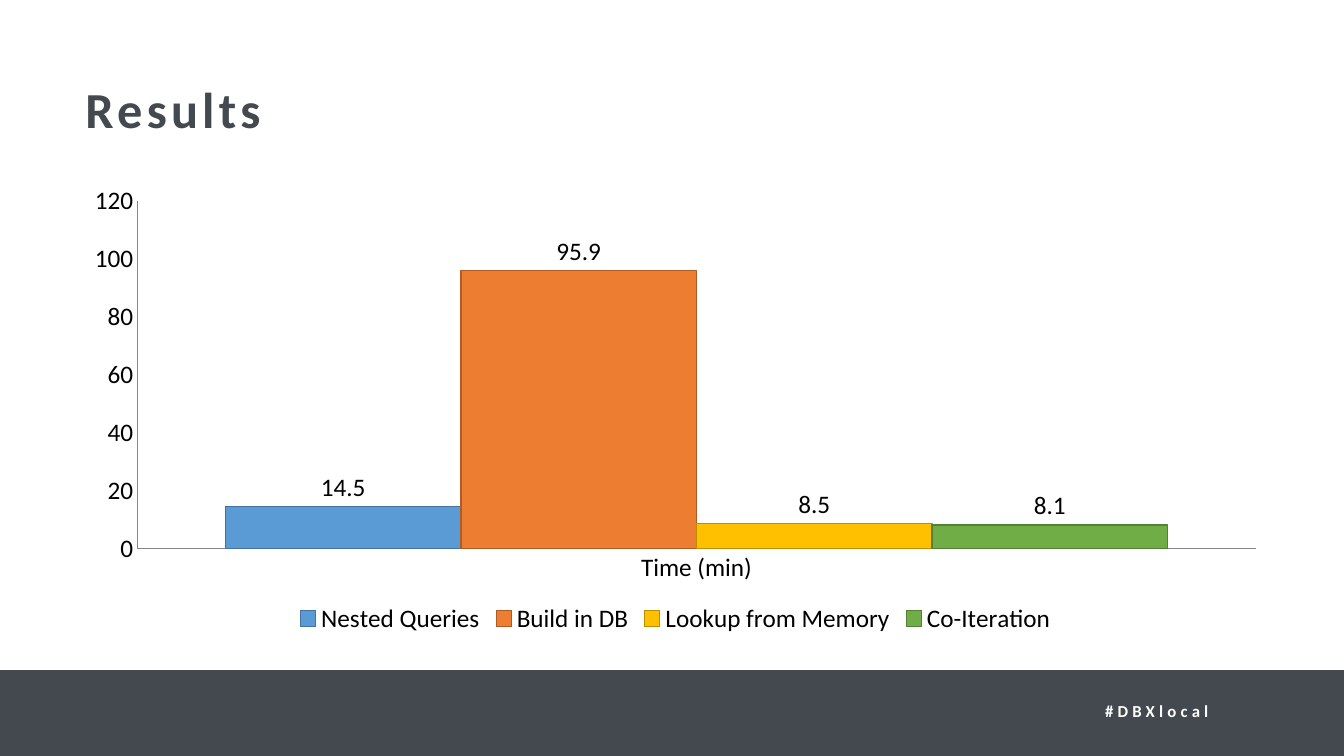
from dataclasses import dataclass

from lxml import etree
from pptx import Presentation
from pptx.chart.data import CategoryChartData
from pptx.dml.color import RGBColor
from pptx.enum import chart as charts, shapes, text
from pptx.oxml.ns import qn
from pptx.util import Cm, Pt

COLORS = {"slate": "43494F", "white": "FFFFFF", "black": "000000", "axis": "868686"}
FONT = "Calibri"


@dataclass
class Method:
    name: str
    minutes: float
    fill: str
    line: str


METHODS = [
    Method("Nested Queries", 14.5, "5B9BD5", "43739E"),
    Method("Build in DB", 95.9, "ED7D31", "AF5C24"),
    Method("Lookup from Memory", 8.5, "FFC000", "BD8E00"),
    Method("Co-Iteration", 8.1, "70AD47", "538035"),
]


def rgb(value: str) -> RGBColor:
    return RGBColor.from_string(value)


def place(shape, left: float, top: float, width: float, height: float) -> None:
    shape.left, shape.top = Cm(left), Cm(top)
    shape.width, shape.height = Cm(width), Cm(height)


def write_spaced(frame, words: str, size: int, color: str, align) -> None:
    """Bold text with letters spaced 3 pt apart."""
    frame.word_wrap = True
    frame.auto_size = text.MSO_AUTO_SIZE.NONE
    frame.vertical_anchor = text.MSO_ANCHOR.TOP
    para = frame.paragraphs[0]
    para.alignment = align
    para.space_before = Pt(0)
    span = para.add_run()
    span.text = words
    font = para.font
    font.name, font.size, font.bold = FONT, Pt(size), True
    font.color.rgb = rgb(color)
    span._r.get_or_add_rPr().set("spc", "300")


def set_plot_layout(chart, **fractions: float) -> None:
    """Fix the inner plot area as fractions of the chart frame."""
    area = chart._chartSpace.find(".//" + qn("c:plotArea"))
    for old in area.findall(qn("c:layout")):
        area.remove(old)
    layout = etree.Element(qn("c:layout"))
    area.insert(0, layout)
    manual = etree.SubElement(layout, qn("c:manualLayout"))
    settings = {"layoutTarget": "inner", "xMode": "edge", "yMode": "edge", **fractions}
    for tag, value in settings.items():
        etree.SubElement(manual, qn("c:" + tag)).set("val", str(value))


def add_results_chart(slide) -> None:
    data = CategoryChartData()
    data.categories = ["Time (min)"]
    for method in METHODS:
        data.add_series(method.name, [method.minutes])
    chart = slide.shapes.add_chart(
        charts.XL_CHART_TYPE.COLUMN_CLUSTERED,
        Cm(1.78), Cm(4.42), Cm(30.48), Cm(11.68), data,
    ).chart
    chart.has_title = False
    chart.font.name, chart.font.size = FONT, Pt(18)
    chart.font.color.rgb = rgb(COLORS["black"])
    chart.has_legend = True
    chart.legend.position = charts.XL_LEGEND_POSITION.BOTTOM
    chart.legend.include_in_layout = False
    set_plot_layout(chart, x=0.055, y=0.055, w=0.925, h=0.75)

    # Axes
    for axis in (chart.category_axis, chart.value_axis):
        axis.has_major_gridlines = False
        axis.major_tick_mark = axis.minor_tick_mark = charts.XL_TICK_MARK.NONE
        axis.format.line.color.rgb = rgb(COLORS["axis"])
        axis.format.line.width = Pt(0.75)
    scale = chart.value_axis
    scale.minimum_scale, scale.maximum_scale, scale.major_unit = 0, 120, 20

    # Columns and their values
    plot = chart.plots[0]
    plot.gap_width, plot.overlap = 75, 0
    plot.vary_by_categories = False
    for series, method in zip(plot.series, METHODS):
        series.format.fill.solid()
        series.format.fill.fore_color.rgb = rgb(method.fill)
        series.format.line.color.rgb = rgb(method.line)
        series.format.line.width = Pt(1)
        labels = series.data_labels
        labels.show_value = True
        labels.position = charts.XL_LABEL_POSITION.OUTSIDE_END


def main() -> None:
    deck = Presentation()
    deck.slide_width, deck.slide_height = Cm(33.87), Cm(19.05)
    page = deck.slides.add_slide(deck.slide_layouts[5])

    # Footer band
    band = page.shapes.add_shape(
        shapes.MSO_SHAPE.RECTANGLE, 0, Cm(16.89), deck.slide_width, Cm(2.16))
    band.shadow.inherit = False
    band.fill.solid()
    band.fill.fore_color.rgb = rgb(COLORS["slate"])
    band.line.fill.background()

    # Event tag
    tag = page.shapes.add_textbox(Cm(26.97), Cm(17.65), Cm(4.37), Cm(0.64))
    frame = tag.text_frame
    frame.margin_left = frame.margin_right = frame.margin_top = 0
    write_spaced(frame, "#DBXlocal", 12, COLORS["white"], text.PP_ALIGN.CENTER)

    # Title
    title = page.shapes.title
    place(title, 1.9, 1.85, 30.2, 2.2)
    write_spaced(title.text_frame, "Results", 36, COLORS["slate"], text.PP_ALIGN.LEFT)

    add_results_chart(page)
    deck.save("out.pptx")


if __name__ == "__main__":
    main()
